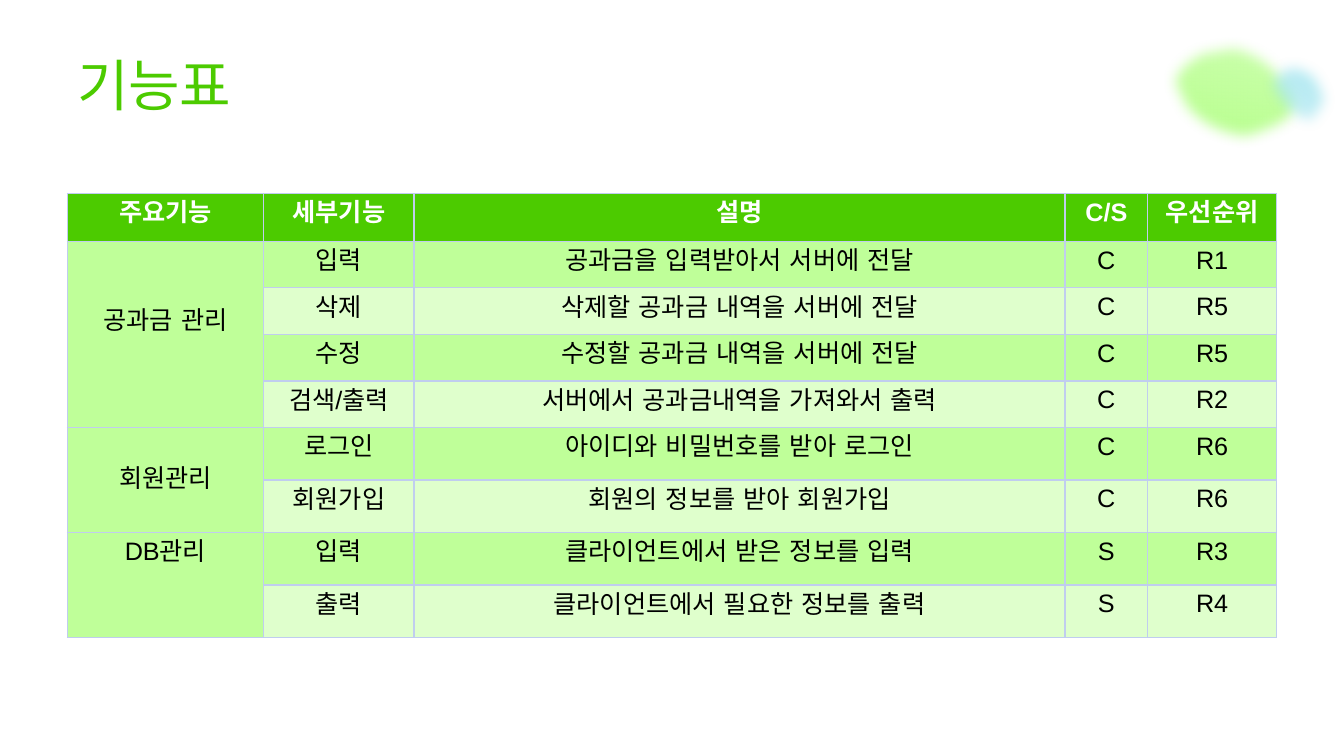
from math import cos, radians, sin

from lxml.etree import SubElement
from pptx import Presentation
from pptx.dml.color import RGBColor
from pptx.enum.text import MSO_ANCHOR, PP_ALIGN
from pptx.oxml.ns import qn
from pptx.util import Pt

GREEN, MID, PALE = "4CCB00", "BFFF99", "DFFFCC"
BORDER = "C0CDEF"

COLUMNS = [140.4, 107.3, 465.1, 59, 92.2]
ROWS = [34.1] + [33.3] * 4 + [37.5] * 4
HEADER = ["주요기능", "세부기능", "설명", "C/S", "우선순위"]
# group name, anchor, bottom margin, detail rows
GROUPS = [
    ("공과금 관리", MSO_ANCHOR.MIDDLE, 22.6, [
        ("입력", "공과금을 입력받아서 서버에 전달", "C", "R1"),
        ("삭제", "삭제할 공과금 내역을 서버에 전달", "C", "R5"),
        ("수정", "수정할 공과금 내역을 서버에 전달", "C", "R5"),
        ("검색/출력", "서버에서 공과금내역을 가져와서 출력", "C", "R2")]),
    ("회원관리", MSO_ANCHOR.MIDDLE, 5, [
        ("로그인", "아이디와 비밀번호를 받아 로그인", "C", "R6"),
        ("회원가입", "회원의 정보를 받아 회원가입", "C", "R6")]),
    ("DB관리", MSO_ANCHOR.TOP, 3.6, [
        ("입력", "클라이언트에서 받은 정보를 입력", "S", "R3"),
        ("출력", "클라이언트에서 필요한 정보를 출력", "S", "R4")]),
]

# Outlines in points from the corner of each leaf's box, as they show:
# a start, then cubic segments of two controls and an end.
GREEN_LEAF = [
    (109, 53), (107, 64), (109, 70), (87, 78), (75, 83.5), (60.5, 85), (46, 81.5),
    (32, 78.5), (19.5, 71.5), (11, 61), (5, 48), (-1, 39.5), (1.5, 29.5),
    (3.5, 18.5), (11.5, 9.5), (24, 4.5), (41, 2), (52, -1.5), (64, 1),
    (76.5, 3.5), (88, 10), (96, 20), (104.5, 29.5), (111.5, 42.5), (109, 53)]
BLUE_LEAF = [
    (60.5, 42.5), (65, 36), (61, 31), (60, 24.5), (57.5, 19), (56, 11), (50.5, 6.5),
    (44.5, 2), (31.5, -0.5), (24.5, 0), (17, 0.5), (10, 3.5), (5.5, 10),
    (0.5, 16.5), (2, 25), (4.5, 32.5), (6.5, 39), (12, 47.5), (18, 52),
    (24.5, 57), (34.5, 60.5), (40.5, 60.5), (47, 60.5), (49.5, 60), (54, 53.5),
    (54, 53.5), (60.5, 42.5), (60.5, 42.5)]


def rgb(color):
    return RGBColor.from_string(color)


def add_text(tf, text, size=18, color="000000", font="Arial", bold=False,
             align=PP_ALIGN.CENTER):
    p = tf.paragraphs[0]
    p.alignment = align
    r = p.add_run()
    r.text = text
    r.font.size, r.font.name, r.font.bold = Pt(size), font, bold
    r.font.color.rgb = rgb(color)
    SubElement(r.font._element, qn("a:ea"), typeface="DejaVu Sans")


def rotate(x, y, degrees):
    a = radians(degrees)
    return x * cos(a) - y * sin(a), x * sin(a) + y * cos(a)


def lines_to_curves(sp):
    """Join every three line points into one cubic segment."""
    lines = sp._element.spPr.findall(".//" + qn("a:lnTo"))
    for i in range(0, len(lines), 3):
        curve = lines[i].makeelement(qn("a:cubicBezTo"))
        lines[i].addprevious(curve)
        for line in lines[i:i + 3]:
            curve.append(line[0])
            line.getparent().remove(line)


def leaf(s, x, y, nodes, rotation, colors, end_alpha):
    """Soft-edged blob that fades towards one side."""
    points = [tuple(Pt(v) for v in rotate(*node, -rotation)) for node in nodes]
    fb = s.shapes.build_freeform(*points[0])
    fb.add_line_segments(points[1:], close=False)
    sp = fb.convert_to_shape()
    lines_to_curves(sp)
    cx, cy = rotate(sp.left + sp.width / 2, sp.top + sp.height / 2, rotation)
    sp.left = int(Pt(x) + cx - sp.width / 2)
    sp.top = int(Pt(y) + cy - sp.height / 2)
    sp.rotation = rotation
    sp.fill.gradient()
    sp.fill.gradient_angle = 270
    for stop, color in zip(sp.fill.gradient_stops, colors):
        stop.color.rgb = rgb(color)
    last = sp._element.spPr.findall(".//" + qn("a:srgbClr"))[-1]
    SubElement(last, qn("a:alpha"), val=str(end_alpha * 1000))
    sp.line.fill.background()
    sp.shadow.inherit = False
    effects = sp._element.spPr.find(qn("a:effectLst"))
    SubElement(effects, qn("a:softEdge"), rad=str(Pt(10)))


def title(s, x, y, w, h):
    tf = s.shapes.add_textbox(Pt(x), Pt(y), Pt(w), Pt(h)).text_frame
    tf.word_wrap = True
    tf.vertical_anchor = MSO_ANCHOR.MIDDLE
    add_text(tf, "기능표", size=40, color=GREEN, font="DejaVu Sans", align=PP_ALIGN.LEFT)


def style_cell(cell, fill):
    tcPr = cell._tc.get_or_add_tcPr()
    for side in ("lnL", "lnR", "lnT", "lnB"):
        ln = SubElement(tcPr, qn("a:" + side), w=str(Pt(1)))
        SubElement(SubElement(ln, qn("a:solidFill")), qn("a:srgbClr"), val=BORDER)
    cell.fill.solid()
    cell.fill.fore_color.rgb = rgb(fill)


def feature_table(s, x, y):
    table = s.shapes.add_table(len(ROWS), len(COLUMNS), Pt(x), Pt(y),
                               Pt(sum(COLUMNS)), Pt(sum(ROWS))).table
    table.first_row = table.horz_banding = False
    for column, width in zip(table.columns, COLUMNS):
        column.width = Pt(width)
    for row, height in zip(table.rows, ROWS):
        row.height = Pt(height)

    for c, text in enumerate(HEADER):
        style_cell(table.cell(0, c), GREEN)
        add_text(table.cell(0, c).text_frame, text, color="FFFFFF", bold=True)

    top = 1
    for name, anchor, bottom, details in GROUPS:
        for i, detail in enumerate(details, top):
            style_cell(table.cell(i, 0), MID)
            for c, text in enumerate(detail, 1):
                style_cell(table.cell(i, c), MID if i % 2 else PALE)
                add_text(table.cell(i, c).text_frame, text)
        group = table.cell(top, 0)
        group.merge(table.cell(top + len(details) - 1, 0))
        group.vertical_anchor = anchor
        group.margin_bottom = Pt(bottom)
        add_text(group.text_frame, name)
        top += len(details)


def main():
    prs = Presentation()
    prs.slide_width, prs.slide_height = Pt(960), Pt(540)
    s = prs.slides.add_slide(prs.slide_layouts[6])
    leaf(s, 826.5, 24, GREEN_LEAF, 192.5, ("B2FF84", "B2FF84"), 58)
    leaf(s, 895.5, 37.5, BLUE_LEAF, 34.8, ("8CDFEC", "B0E9F2"), 36)
    title(s, 48, 24, 864, 72.5)
    feature_table(s, 48, 138.2)
    prs.save("out.pptx")


if __name__ == "__main__":
    main()
